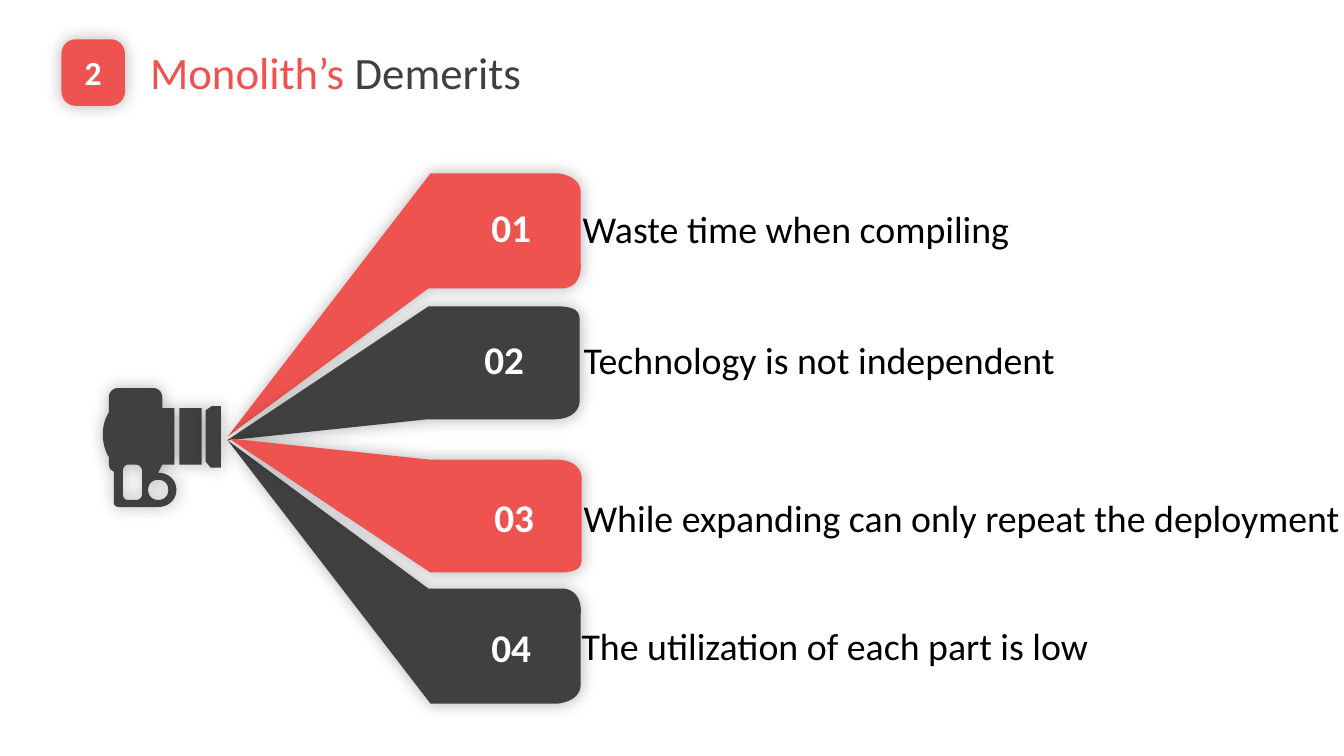
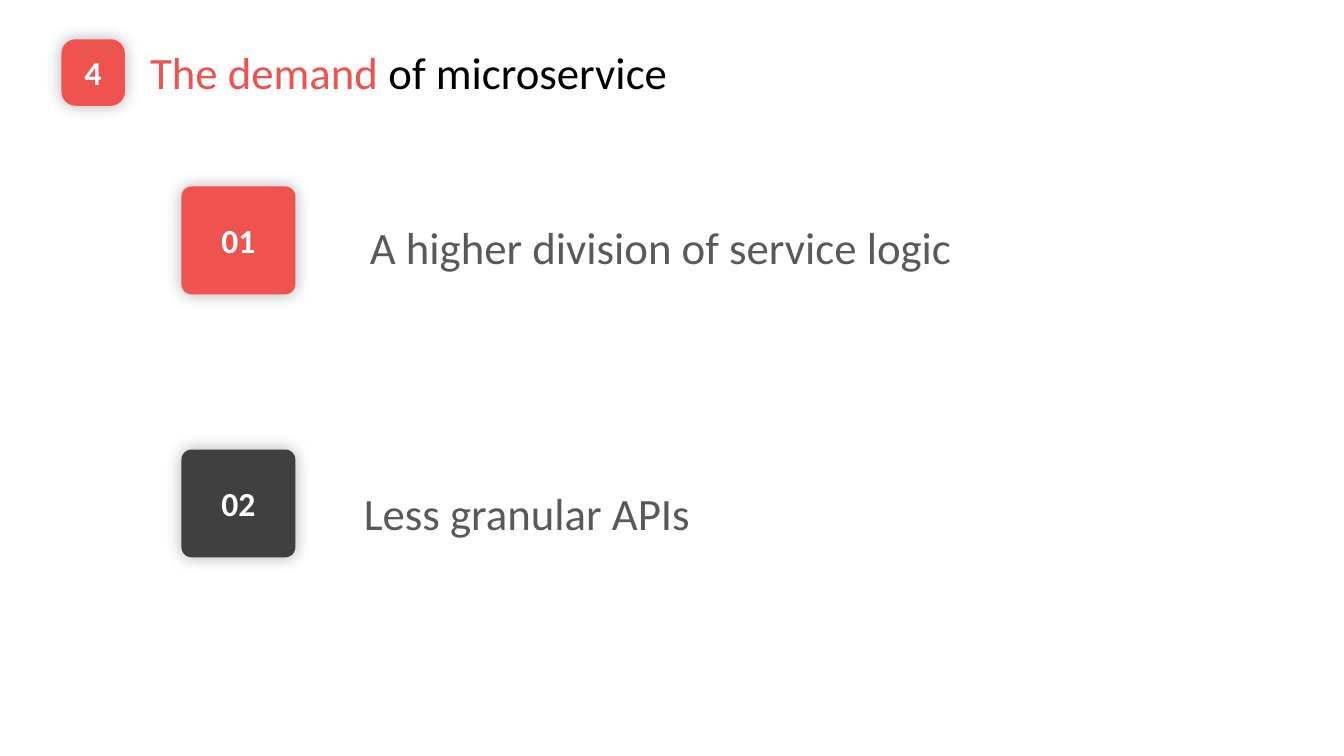
"""Build two slides on monolith demerits and microservice demand."""
from lxml import etree
from pptx import Presentation
from pptx.dml.color import RGBColor
from pptx.enum import shapes, text
from pptx.oxml.ns import qn
from pptx.util import Inches, Pt

FONT = "Calibri"
RED, DARK, GREY, BLACK, WHITE = "EE534F", "404040", "595959", "000000", "FFFFFF"

DEMERITS_TITLE = ("2", 4.5, [("Monolith’s", RED), (" Demerits", DARK)])
DEMAND_TITLE = ("4", 5.53, [("The demand ", RED), ("of microservice", BLACK)])

DEMERITS = [
    ("01", 4.71, 1.97, "Waste time when compiling", 5.68, 1.99),
    ("02", 4.64, 3.28, "Technology is not independent", 5.69, 3.29),
    ("03", 4.74, 4.84, "While expanding can only repeat the deployment", 5.69, 4.86),
    ("04", 4.71, 6.13, "The utilization of each part is low", 5.67, 6.13),
]
DEMANDS = [
    ("01", RED, 1.85, "A higher division of service logic", 3.57, 1.6, 6.38, 1.18),
    ("02", DARK, 4.46, "Less granular APIs", 3.51, 4.24, 4.81, 1.03),
]

# Outlines hold line ends (x, y) and cubic curves (x1, y1, x2, y2, x, y).
OUTER_BEAM = [(2.26, 4.33), (4.27, 1.72), (5.54, 1.72), (5.66, 1.74, 5.75, 1.79, 5.76, 1.9),
              (5.76, 2.61), (5.77, 2.74, 5.72, 2.84, 5.6, 2.86), (4.25, 2.86)]
INNER_BEAM = [(2.25, 4.37), (4.25, 3.04), (5.56, 3.04), (5.7, 3.05, 5.75, 3.08, 5.75, 3.18),
              (5.75, 3.95), (5.76, 4.1, 5.63, 4.16, 5.5, 4.16), (4.24, 4.16)]
CAMERA_BODY = [
    [(1.17, 3.85), (1.52, 3.85), (1.57, 3.85, 1.61, 3.89, 1.61, 3.94), (1.61, 4.05),
     (1.73, 4.05), (1.73, 4.61), (1.61, 4.61), (1.57, 4.69),
     (1.67, 4.69, 1.75, 4.76, 1.75, 4.86), (1.75, 4.96, 1.67, 5.03, 1.57, 5.03),
     (1.18, 5.03), (1.15, 5.03, 1.13, 5.01, 1.13, 4.99), (1.13, 4.68), (1.1, 4.66),
     (1.09, 4.65, 1.08, 4.62, 1.08, 4.6), (1.08, 4.53), (1.07, 4.52),
     (1.04, 4.46, 1.02, 4.39, 1.02, 4.31), (1.02, 4.23, 1.04, 4.16, 1.07, 4.11),
     (1.08, 4.09), (1.08, 3.94), (1.08, 3.89, 1.12, 3.85, 1.17, 3.85)],
    [(1.57, 4.76), (1.51, 4.76, 1.47, 4.8, 1.47, 4.86), (1.47, 4.92, 1.51, 4.96, 1.57, 4.96),
     (1.63, 4.96, 1.67, 4.92, 1.67, 4.86), (1.67, 4.8, 1.63, 4.76, 1.57, 4.76)],
    [(1.27, 4.61), (1.24, 4.61, 1.22, 4.64, 1.22, 4.67), (1.22, 4.9),
     (1.22, 4.94, 1.24, 4.96, 1.27, 4.96), (1.35, 4.96),
     (1.38, 4.96, 1.41, 4.94, 1.41, 4.9), (1.41, 4.67),
     (1.41, 4.64, 1.38, 4.61, 1.35, 4.61)],
]
LENS_RIM = [(2.19, 4.64), (2.19, 4.03), (2.1, 4.03), (2.04, 4.07), (2.04, 4.58), (2.09, 4.64)]


def color(value):
    return RGBColor.from_string(value)


def paint(shape, fill):
    shape.fill.solid()
    shape.fill.fore_color.rgb = color(fill)
    shape.line.fill.background()
    shape.shadow.inherit = False
    effects = shape.element.spPr.find(qn("a:effectLst"))
    glow = etree.SubElement(effects, qn("a:outerShdw"), blurRad=str(Pt(12)), dist="0",
                            dir="0", algn="ctr", rotWithShape="0")
    shade = etree.SubElement(glow, qn("a:srgbClr"), val=BLACK)
    etree.SubElement(shade, qn("a:alpha"), val="30000")


def write(shape, parts, size, bold=False, align=text.PP_ALIGN.LEFT,
          anchor=text.MSO_ANCHOR.TOP):
    frame = shape.text_frame
    frame.word_wrap = True
    frame.vertical_anchor = anchor
    paragraph = frame.paragraphs[0]
    paragraph.alignment = align
    for words, shade in parts:
        run = paragraph.add_run()
        run.text = words
        run.font.name = FONT
        run.font.size = Pt(size)
        run.font.bold = bold
        run.font.color.rgb = color(shade)
    return paragraph


def add_text(slide, box, parts, size, **style):
    shape = slide.shapes.add_textbox(*map(Inches, box))
    return shape, write(shape, parts, size, **style)


def add_badge(slide, box, number, fill, rounding):
    shape = slide.shapes.add_shape(shapes.MSO_SHAPE.ROUNDED_RECTANGLE, *map(Inches, box))
    shape.adjustments[0] = rounding
    paint(shape, fill)
    write(shape, [(number, WHITE)], 24, bold=True, align=text.PP_ALIGN.CENTER,
          anchor=text.MSO_ANCHOR.MIDDLE)


def flatten(outline, steps=10):
    points = [outline[0]]
    for segment in outline[1:]:
        if len(segment) == 2:
            points.append(segment)
            continue
        x0, y0 = points[-1]
        x1, y1, x2, y2, x3, y3 = segment
        for step in range(1, steps + 1):
            t = step / steps
            a, b, c, d = (1 - t) ** 3, 3 * t * (1 - t) ** 2, 3 * t * t * (1 - t), t ** 3
            points.append((a * x0 + b * x1 + c * x2 + d * x3,
                           a * y0 + b * y1 + c * y2 + d * y3))
    return points


def add_outline(slide, contours, fill):
    builder = None
    for contour in contours:
        points = [(Inches(x), Inches(y)) for x, y in contour]
        if builder is None:
            builder = slide.shapes.build_freeform(*points[0])
        else:
            builder.move_to(*points[0])
        builder.add_line_segments(points[1:], close=True)
    paint(builder.convert_to_shape(), fill)


def mirror(points, shift, height):
    return [(x + shift, height - y) for x, y in points]


def add_title(slide, number, width, parts):
    add_badge(slide, (0.61, 0.39, 0.63, 0.66), number, RED, 0.224)
    add_text(slide, (1.39, 0.36, width, 0.7), parts, 32, anchor=text.MSO_ANCHOR.MIDDLE)


def add_camera(slide):
    add_outline(slide, [flatten(contour) for contour in CAMERA_BODY], DARK)
    barrel = slide.shapes.add_shape(shapes.MSO_SHAPE.RECTANGLE,
                                    *map(Inches, (1.78, 4.05, 0.22, 0.56)))
    paint(barrel, DARK)
    add_outline(slide, [LENS_RIM], DARK)


def build_demerits(slide):
    add_camera(slide)
    outer, inner = flatten(OUTER_BEAM), flatten(INNER_BEAM)
    for beam, fill in ((outer, RED), (mirror(outer, 0, 8.7), DARK),
                       (inner, DARK), (mirror(inner, 0.02, 8.72), RED)):
        add_outline(slide, [beam], fill)
    for number, number_left, number_top, label, left, top in DEMERITS:
        add_text(slide, (number_left, number_top, 0.72, 0.57), [(number, WHITE)], 28,
                 bold=True, align=text.PP_ALIGN.CENTER)
        shape, _ = add_text(slide, (left, top, 7.64, 0.57), [(label, BLACK)], 27)
        shape.text_frame.margin_right = 0
    add_title(slide, *DEMERITS_TITLE)


def build_demand(slide):
    for number, fill, badge_top, label, *box in DEMANDS:
        add_badge(slide, (1.8, badge_top, 1.13, 1.07), number, fill, 0.094)
        _, paragraph = add_text(slide, box, [(label, GREY)], 32)
        paragraph.line_spacing = 2.0
    add_title(slide, *DEMAND_TITLE)


def main():
    presentation = Presentation()
    presentation.slide_width, presentation.slide_height = Inches(13.33), Inches(7.5)
    for build in (build_demerits, build_demand):
        build(presentation.slides.add_slide(presentation.slide_layouts[6]))
    presentation.save("out.pptx")


if __name__ == "__main__":
    main()
